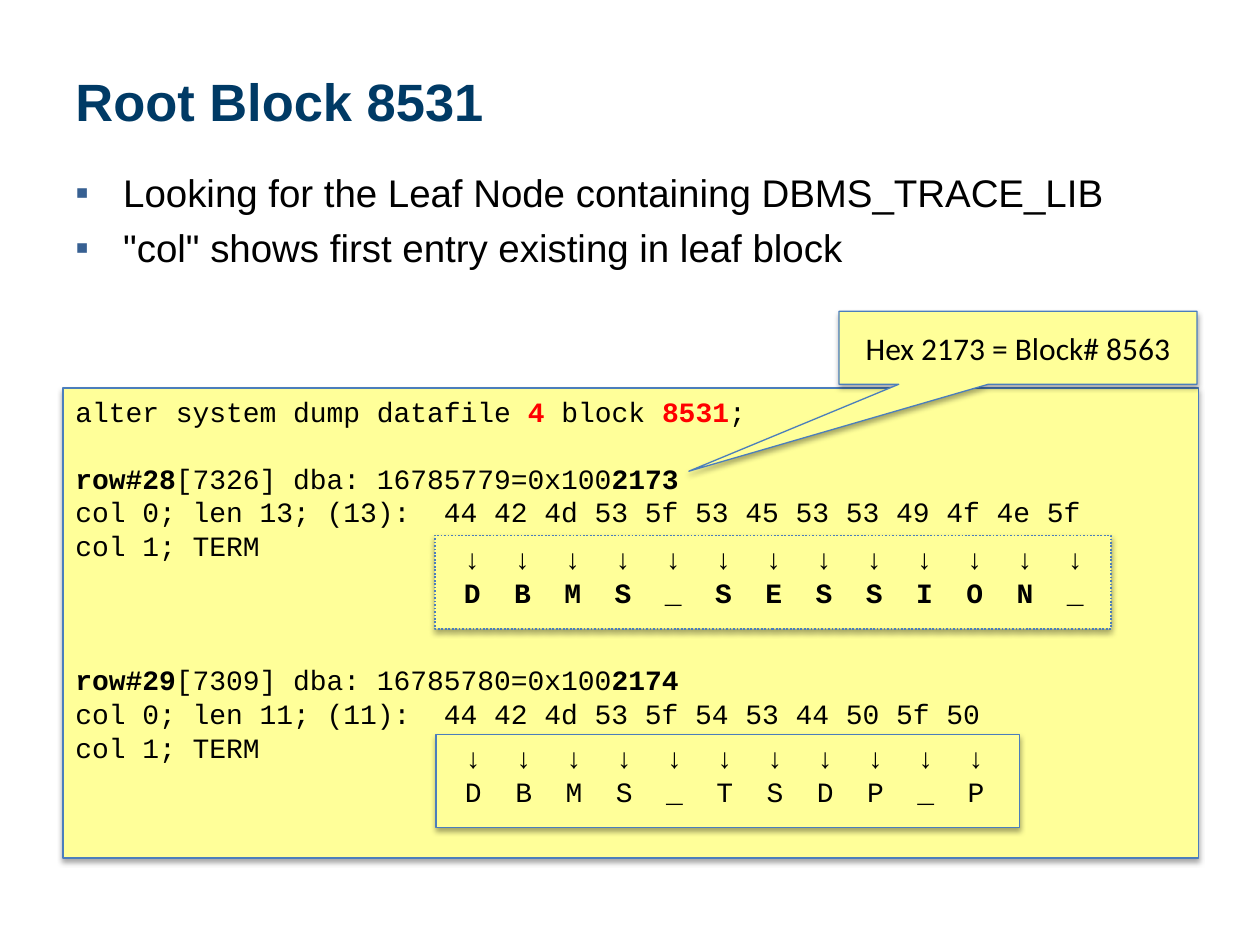
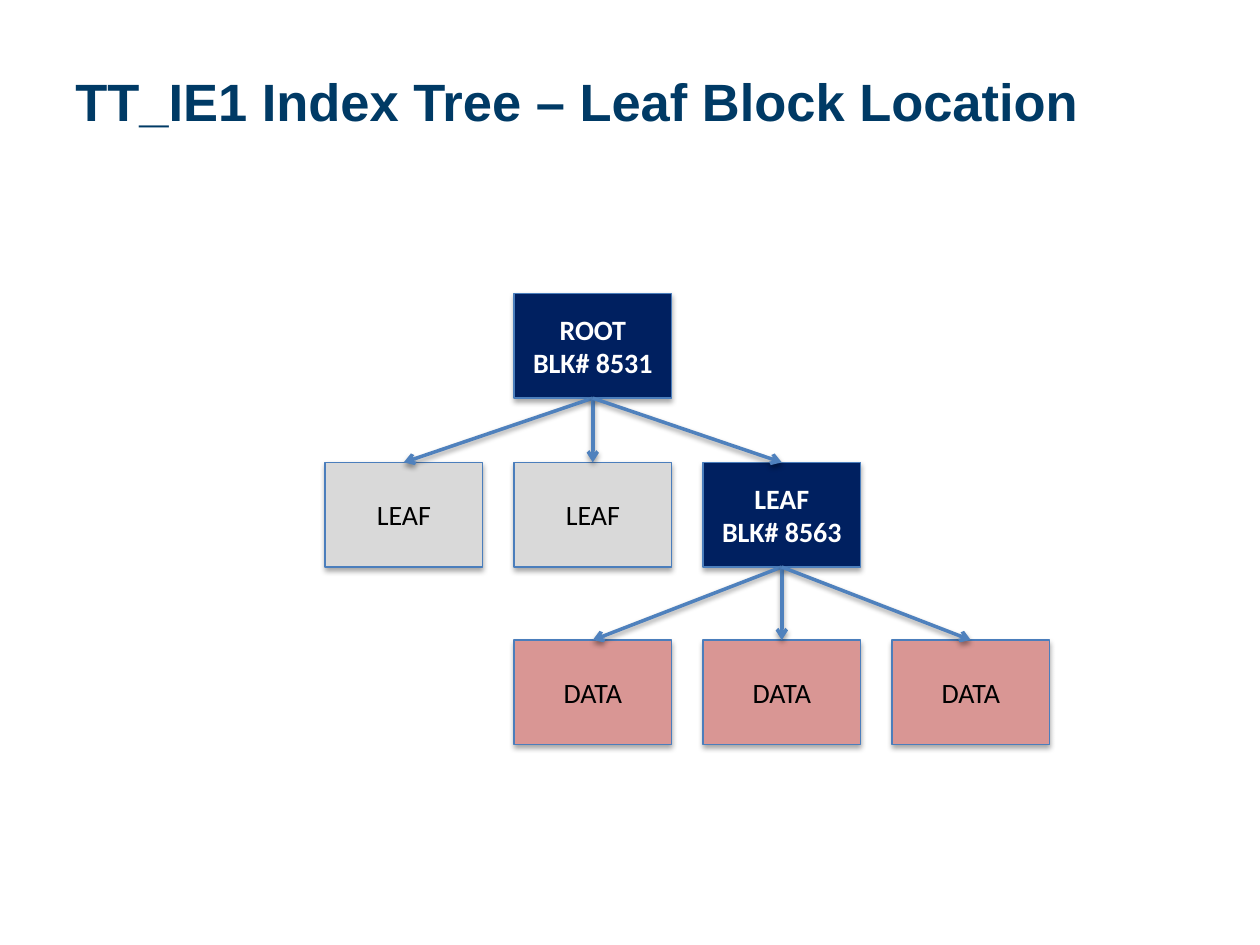
import pptx
import pptx.util
import pptx.dml.color
import pptx.enum.dml
import pptx.enum.shapes
import pptx.enum.text
import pptx.oxml
import pptx.oxml.ns

Inches = pptx.util.Inches
Pt = pptx.util.Pt
RGB = pptx.dml.color.RGBColor.from_string
Shape = pptx.enum.shapes.MSO_SHAPE
Anchor = pptx.enum.text.MSO_ANCHOR
Align = pptx.enum.text.PP_ALIGN


class Theme:
    title, text, light, alert = "003A65", "000000", "FFFFFF", "FF0000"
    bullet, outline, arrow = "376092", "4B7EBC", "4F81BD"
    note, found, other, data = "FFFF99", "002060", "D9D9D9", "D99694"
    heading_font, label_font, code_font = "Arial", "Calibri", "Courier New"
    title_size, body_size, callout_size, small_size = 30, 22, 18, 16
    code_line = 19.2


def cast_shadow(shape, opacity, distance):
    """Give a shape or connector a soft shadow straight below it."""
    properties = shape._element.spPr
    for effects in properties.findall(pptx.oxml.ns.qn("a:effectLst")):
        properties.remove(effects)
    properties.append(pptx.oxml.parse_xml(
        f'<a:effectLst {pptx.oxml.ns.nsdecls("a")}>'
        f'<a:outerShdw blurRad="{Pt(3.1)}" dist="{Pt(distance)}" dir="5400000" rotWithShape="0">'
        f'<a:srgbClr val="000000"><a:alpha val="{opacity * 1000}"/></a:srgbClr>'
        '</a:outerShdw></a:effectLst>'))


def add_box(slide, kind, area, fill, lines, font, size, color=Theme.text, centred=True):
    """Add a filled box; each line is (lines of gap above, [(text, bold, color), ...])."""
    shape = slide.shapes.add_shape(kind, *(Inches(length) for length in area))
    shape.fill.solid()
    shape.fill.fore_color.rgb = RGB(fill)
    shape.line.color.rgb = RGB(Theme.outline)
    shape.line.width = Pt(0.75)
    shape.shadow.inherit = False
    cast_shadow(shape, 35, 1.8)
    frame = shape.text_frame
    frame.word_wrap = True
    frame.vertical_anchor = Anchor.MIDDLE if centred else Anchor.TOP
    for index, (gap, runs) in enumerate(lines):
        paragraph = frame.add_paragraph() if index else frame.paragraphs[0]
        paragraph.alignment = Align.CENTER if centred else Align.LEFT
        if gap:
            paragraph.space_before = Pt(gap * Theme.code_line)
        for text, bold, run_color in runs:
            run = paragraph.add_run()
            run.text = text
            run.font.name, run.font.size, run.font.bold = font, Pt(size), bold
            run.font.color.rgb = RGB(run_color or color)
    return shape


presentation = pptx.Presentation()
presentation.slide_width, presentation.slide_height = Inches(10), Inches(7.5)
margin, content_width = 0.5, 9.01

# Slides with their titles
slides = []
for heading in ("Root Block 8531", "TT_IE1 Index Tree – Leaf Block Location"):
    slide = presentation.slides.add_slide(presentation.slide_layouts[6])
    title = slide.shapes.add_textbox(
        Inches(margin), Inches(0.3), Inches(content_width), Inches(0.99))
    title.text_frame.word_wrap = True
    title.text_frame.vertical_anchor = Anchor.MIDDLE
    title.text_frame.text = heading
    font = title.text_frame.paragraphs[0].runs[0].font
    font.name, font.size, font.bold = Theme.heading_font, Pt(Theme.title_size), True
    font.color.rgb = RGB(Theme.title)
    slides.append(slide)
dump_slide, tree_slide = slides

# Block dump listing
dump_lines = [
    (0, [("alter system dump datafile ", False, None), ("4", True, Theme.alert),
         (" block ", False, None), ("8531", True, Theme.alert), (";", False, None)]),
]
for gap, row, address, block, columns in (
    (1, "row#28", "[7326] dba: 16785779=0x100", "2173",
     "col 0; len 13; (13):  44 42 4d 53 5f 53 45 53 53 49 4f 4e 5f"),
    (3, "row#29", "[7309] dba: 16785780=0x100", "2174",
     "col 0; len 11; (11):  44 42 4d 53 5f 54 53 44 50 5f 50"),
):
    dump_lines += [
        (gap, [(row, True, None), (address, False, None), (block, True, None)]),
        (0, [(columns, False, None)]),
        (0, [("col 1; TERM", False, None)]),
    ]
add_box(dump_slide, Shape.RECTANGLE, (margin, 3.08, content_width, 3.73), Theme.note,
        dump_lines, Theme.code_font, Theme.small_size, centred=False)

# Decoded column values
for area, word, dotted in (((3.46, 5.83, 4.63, 0.74), "DBMS_TSDP_P", False),
                           ((3.45, 4.25, 5.37, 0.74), "DBMS_SESSION_", True)):
    decoded = [(0, [(" " + "  ".join("↓" * len(word)), False, None)]),
               (0, [(" " + "  ".join(word), dotted, None)])]
    box = add_box(dump_slide, Shape.RECTANGLE, area, Theme.note, decoded,
                  Theme.code_font, Theme.small_size, centred=False)
    if dotted:
        box.line.width = Pt(1)
        box.line.dash_style = pptx.enum.dml.MSO_LINE.ROUND_DOT

# Bullets
body = dump_slide.shapes.add_textbox(
    Inches(margin), Inches(1.29), Inches(8.67), Inches(1.48))
body.text_frame.word_wrap = True
body.text_frame.text = ("Looking for the Leaf Node containing DBMS_TRACE_LIB\n"
                        '"col" shows first entry existing in leaf block')
for index, paragraph in enumerate(body.text_frame.paragraphs):
    if index:
        paragraph.space_before = Pt(5)
    properties = paragraph._p.get_or_add_pPr()
    properties.set("marL", str(Inches(0.38)))
    properties.set("indent", str(-Inches(0.38)))
    for markup in (f'<a:buClr %s><a:srgbClr val="{Theme.bullet}"/></a:buClr>',
                   '<a:buFont %s typeface="Arial"/>', '<a:buChar %s char="▪"/>'):
        properties.append(pptx.oxml.parse_xml(markup % pptx.oxml.ns.nsdecls("a")))
    font = paragraph.runs[0].font
    font.name, font.size = Theme.heading_font, Pt(Theme.body_size)
    font.color.rgb = RGB(Theme.text)

# Callout pointing at the block address
callout = add_box(dump_slide, Shape.RECTANGULAR_CALLOUT, (6.66, 2.47, 2.84, 0.58), Theme.note,
                  [(0, [("Hex 2173 = Block# 8563", False, None)])],
                  Theme.label_font, Theme.callout_size)
callout.adjustments[0], callout.adjustments[1] = -0.92, 1.69

# Index tree nodes on a grid of columns and levels
tree_left, column_pitch, node_width, node_height = 2.58, 1.5, 1.25, 0.83
level_tops = (2.33, 3.67, 5.08)
nodes = {}
for level, column, labels, fill in (
    (0, 1, ("ROOT", "BLK# 8531"), Theme.found),
    (1, 0, ("LEAF",), Theme.other),
    (1, 1, ("LEAF",), Theme.other),
    (1, 2, ("LEAF", "BLK# 8563"), Theme.found),
    (2, 1, ("DATA",), Theme.data),
    (2, 2, ("DATA",), Theme.data),
    (2, 3, ("DATA",), Theme.data),
):
    on_search_route = fill == Theme.found
    area = (tree_left + column * column_pitch, level_tops[level], node_width, node_height)
    node = add_box(tree_slide, Shape.RECTANGLE, area, fill,
                   [(0, [(label, on_search_route, None)]) for label in labels],
                   Theme.label_font, Theme.small_size,
                   Theme.light if on_search_route else Theme.text)
    node.text_frame.margin_left = node.text_frame.margin_right = 0
    nodes[level, column] = node

# Arrows from each parent to the three nodes around its column
for level, column in ((0, 1), (1, 2)):
    for child_column in range(column - 1, column + 2):
        arrow = tree_slide.shapes.add_connector(
            pptx.enum.shapes.MSO_CONNECTOR.STRAIGHT, 0, 0, 0, 0)
        arrow.begin_connect(nodes[level, column], 2)
        arrow.end_connect(nodes[level + 1, child_column], 0)
        arrow.line.color.rgb = RGB(Theme.arrow)
        arrow.line.width = Pt(2)
        arrow.line._get_or_add_ln().append(pptx.oxml.parse_xml(
            f'<a:tailEnd {pptx.oxml.ns.nsdecls("a")} type="arrow"/>'))
        cast_shadow(arrow, 38, 1.6)

presentation.save("out.pptx")
